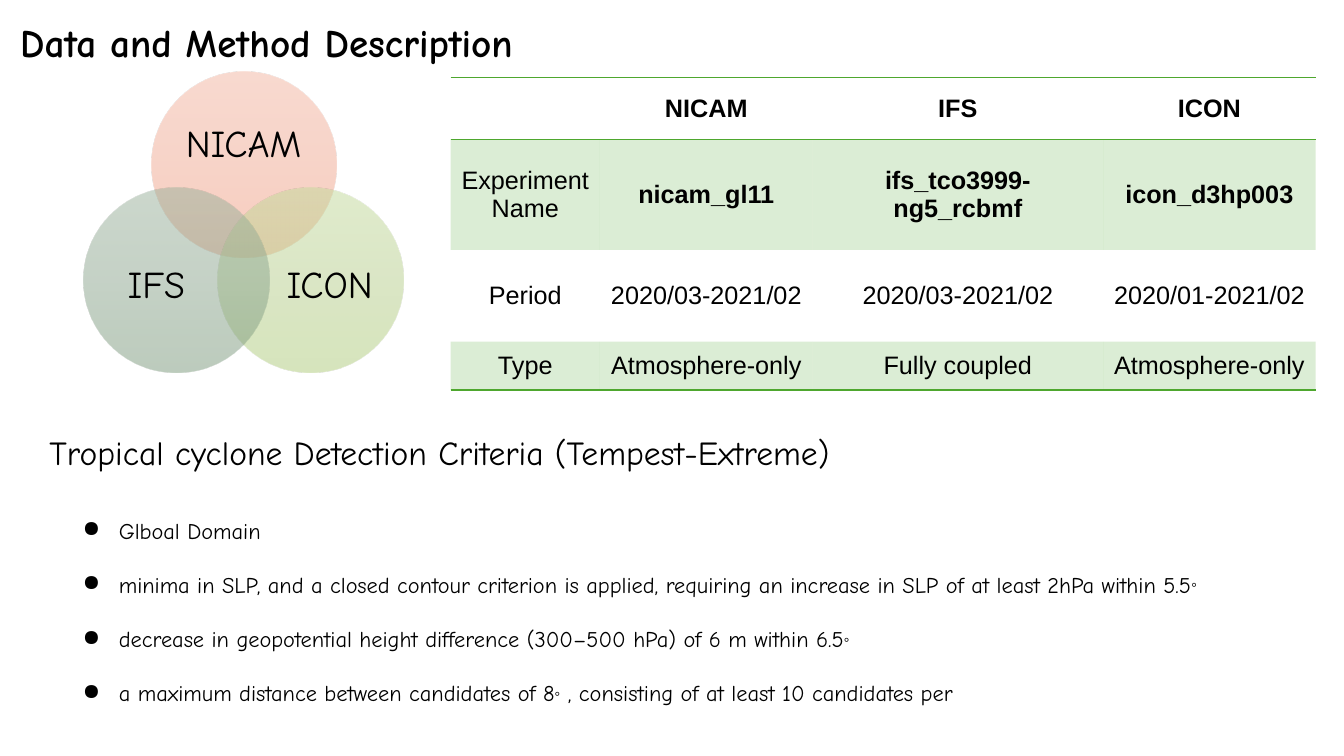
from lxml import etree
from pptx import Presentation
from pptx import util as u
from pptx.dml import color
from pptx.enum import shapes, text
from pptx.oxml import ns

HAND, SANS = "Comic Neue", "Arial"
BLACK, GREEN = "000000", "4EA72E"
CENTER, LEFT = text.PP_ALIGN.CENTER, text.PP_ALIGN.LEFT
TOP, MIDDLE = text.MSO_ANCHOR.TOP, text.MSO_ANCHOR.MIDDLE

MODELS = [
    ("NICAM", (1.5, 0.71), (1.74, 1.03, 1.35, 0.83), ("F4B6A2", "F1AA93", "F49C7F")),
    ("ICON", (2.16, 1.86), (2.72, 2.33, 1.1, 1.01), ("C3DA9B", "B8CF8E", "AFCC79")),
    ("IFS", (0.83, 1.86), (1, 2.33, 1.1, 1.01), ("9BB29C", "8DA68F", "79997A")),
]
ROWS = [
    ("", "NICAM", "IFS", "ICON"),
    ("Experiment\nName", "nicam_gl11", "ifs_tco3999-ng5_rcbmf", "icon_d3hp003"),
    ("Period", "2020/03-2021/02", "2020/03-2021/02", "2020/01-2021/02"),
    ("Type", "Atmosphere-only", "Fully coupled", "Atmosphere-only"),
]
COL_WIDTHS = (1.48, 2.11, 2.88, 2.11)
ROW_HEIGHTS = (0.61, 1.1, 0.91, 0.48)
CRITERIA = [
    "Glboal Domain",
    "minima in SLP, and a closed contour criterion is applied, "
    "requiring an increase in SLP of at least 2hPa within 5.5。",
    "decrease in geopotential height difference (300–500 hPa) of 6 m within 6.5。",
    "a maximum distance between candidates of 8。, consisting of at least 10 candidates per",
]


def inches(values):
    return [u.Inches(v) for v in values]


def rgb(value):
    return color.RGBColor.from_string(value)


def apply(obj, values):
    for name, value in values.items():
        setattr(obj, name, value)


def sub(parent, tag, **attrs):
    return etree.SubElement(parent, ns.qn(tag), attrs)


def add_color(parent, value, alpha):
    sub(sub(parent, "a:srgbClr", val=value), "a:alpha", val=str(alpha * 1000))


def set_font(obj, size, name=HAND, bold=False):
    apply(obj.font, dict(name=name, size=u.Pt(size), bold=bold))
    obj.font.color.rgb = rgb(BLACK)


def set_frame(tf, x, y, anchor=TOP):
    dx, dy = inches((x, y))
    apply(tf, dict(margin_left=dx, margin_right=dx, margin_top=dy, margin_bottom=dy,
                   word_wrap=True, vertical_anchor=anchor))


def add_text(s, at, content, size, inset=0.1, anchor=TOP, **para):
    tf = s.shapes.add_textbox(*inches(at)).text_frame
    set_frame(tf, inset, inset, anchor)
    p = tf.paragraphs[0]
    p.text = content
    apply(p, para)
    set_font(p, size)


def add_title(s, content):
    sp = s.shapes.title
    apply(sp, dict(zip(("left", "top", "width", "height"), inches((0.1, 0.13, 5.77, 0.57)))))
    set_frame(sp.text_frame, 0.1, 0.05)
    p = sp.text_frame.paragraphs[0]
    p.text = content
    p.alignment = LEFT
    set_font(p, 28, bold=True)


def add_circle(s, at, tones):
    sp = s.shapes.add_shape(shapes.MSO_SHAPE.OVAL, *inches((*at, 1.84, 1.84)))
    sp.shadow.inherit = False
    sp.line.fill.background()
    sp.fill.gradient()
    grad = sp._element.spPr.find(ns.qn("a:gradFill"))
    for child in list(grad):
        grad.remove(child)
    stops = sub(grad, "a:gsLst")
    for i, tone in enumerate(tones):
        add_color(sub(stops, "a:gs", pos=str(i * 50000)), tone, 50)
    sub(grad, "a:lin", ang="5400000", scaled="0")


def add_border(tcPr, tag):
    ln = sub(tcPr, tag, w=str(u.Pt(1)))
    add_color(sub(ln, "a:solidFill"), GREEN, 100)


def format_cell(cell, content, row, col):
    cell.text = content
    set_frame_margins = inches((0.1, 0.05))
    apply(cell, dict(zip(("margin_left", "margin_top"), set_frame_margins)))
    apply(cell, dict(zip(("margin_right", "margin_bottom"), set_frame_margins)))
    cell.vertical_anchor = MIDDLE
    for p in cell.text_frame.paragraphs:
        p.alignment = CENTER
        set_font(p, 18, SANS, row == 0 or (row == 1 and col > 0))
    tcPr = cell._tc.get_or_add_tcPr()
    if row == 0:
        add_border(tcPr, "a:lnT")
    if row in (0, len(ROWS) - 1):
        add_border(tcPr, "a:lnB")
    if row % 2:
        add_color(sub(tcPr, "a:solidFill"), GREEN, 20)
    else:
        cell.fill.background()


def add_experiments(s):
    at = (4.47, 0.77, sum(COL_WIDTHS), sum(ROW_HEIGHTS))
    table = s.shapes.add_table(len(ROWS), len(COL_WIDTHS), *inches(at)).table
    apply(table, dict(first_row=False, horz_banding=False))
    style = table._tbl.tblPr.find(ns.qn("a:tableStyleId"))
    style.text = "{2D5ABB26-0587-4C30-8999-92F81FD0307C}"
    for col, width in zip(table.columns, COL_WIDTHS):
        col.width = u.Inches(width)
    for i, (row, height) in enumerate(zip(table.rows, ROW_HEIGHTS)):
        row.height = u.Inches(height)
        for j, content in enumerate(ROWS[i]):
            format_cell(table.cell(i, j), content, i, j)


def add_bullet(p):
    pPr = p._p.get_or_add_pPr()
    apply_indent = dict(marL=u.Inches(0.5), indent=u.Inches(-0.36))
    for name, value in apply_indent.items():
        pPr.set(name, str(value))
    sub(sub(pPr, "a:buClr"), "a:srgbClr", val=BLACK)
    sub(pPr, "a:buChar", char="●")


def add_criteria(s):
    tf = s.shapes.add_textbox(*inches((0.58, 5.03, 12.39, 2.39))).text_frame
    set_frame(tf, 0.1, 0.1)
    for i, line in enumerate(CRITERIA):
        p = tf.paragraphs[0] if i == 0 else tf.add_paragraph()
        if i:
            p.space_before = u.Pt(19.5)
        add_bullet(p)
        before, degree, after = line.partition("。")
        for part in filter(None, (before, degree, after)):
            r = p.add_run()
            r.text = part
            set_font(r, 16)
            if part == degree:
                r.font._element.set("baseline", "30000")


def main():
    prs = Presentation()
    apply(prs, dict(slide_width=u.Inches(13.33), slide_height=u.Inches(7.5)))
    s = prs.slides.add_slide(prs.slide_layouts[5])
    add_title(s, "Data and Method Description")
    for name, at, label_at, tones in MODELS:
        add_circle(s, at, tones)
        add_text(s, label_at, name, 27, 0, MIDDLE, alignment=CENTER, line_spacing=0.9)
    add_experiments(s)
    add_criteria(s)
    add_text(s, (0.39, 4.18, 9.29, 0.99),
             "Tropical cyclone Detection Criteria (Tempest-Extreme)", 24)
    prs.save("out.pptx")


if __name__ == "__main__":
    main()
